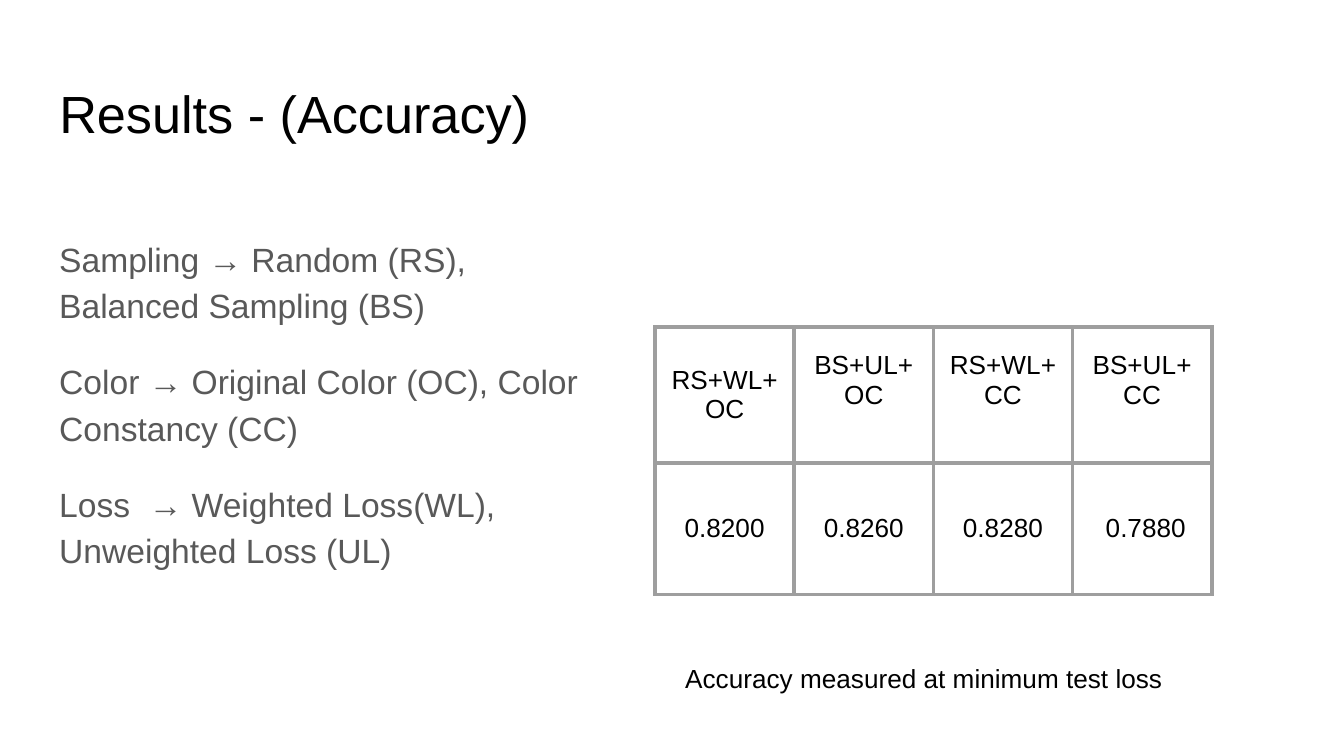
from lxml import etree
from pptx import Presentation
from pptx.dml.color import RGBColor
from pptx.enum import text
from pptx.oxml import ns
from pptx.util import Cm, Pt

# Content
TITLE = "Results - (Accuracy)"
FACTORS = [
    "Sampling → Random (RS), Balanced Sampling (BS)",
    "Color → Original Color (OC), Color Constancy (CC)",
    "Loss  → Weighted Loss(WL), Unweighted Loss (UL)",
]
RESULTS = [
    ["RS+WL+OC", "BS+UL+OC", "RS+WL+CC", "BS+UL+CC"],
    ["0.8200", "0.8260", "0.8280", " 0.7880"],
]
CAPTION = "Accuracy measured at minimum test loss"

# Format
BLACK, GREY, BORDER = "000000", "595959", "9E9E9E"
INSET = Cm(0.25)
COLUMN_WIDTH = Cm(2.63)
ROW_HEIGHTS = [Cm(2.57), Cm(2.49)]
RAISED_BOTTOM = Cm(0.8)  # lifts the headers after the first


def color(value):
    return RGBColor.from_string(value)


def write(frame, lines, size, fill=BLACK, align=text.PP_ALIGN.LEFT,
          spacing=1.0, gap=0):
    for index, line in enumerate(lines):
        para = frame.paragraphs[0] if index == 0 else frame.add_paragraph()
        para.alignment = align
        para.line_spacing = spacing
        para.space_before = Pt(gap if index else 0)
        span = para.add_run()
        span.text = line
        span.font.size = Pt(size)
        span.font.name = "Arial"
        span.font.color.rgb = color(fill)


def set_insets(target):
    target.margin_left = target.margin_right = INSET
    target.margin_top = target.margin_bottom = INSET


def prepare(box):
    frame = box.text_frame
    frame.word_wrap = True
    frame.auto_size = text.MSO_AUTO_SIZE.NONE
    frame.vertical_anchor = text.MSO_ANCHOR.TOP
    set_insets(frame)
    return frame


def add_text(page, place, lines, size, **style):
    box = page.shapes.add_textbox(*map(Cm, place))
    write(prepare(box), lines, size, **style)


def add_borders(cell, value, width):
    properties = cell._tc.get_or_add_tcPr()
    for index, side in enumerate(("a:lnL", "a:lnR", "a:lnT", "a:lnB")):
        line = etree.Element(ns.qn(side), w=str(Pt(width)))
        fill = etree.SubElement(line, ns.qn("a:solidFill"))
        etree.SubElement(fill, ns.qn("a:srgbClr"), val=value)
        properties.insert(index, line)


deck = Presentation()
deck.slide_width, deck.slide_height = Cm(25.4), Cm(14.29)
page = deck.slides.add_slide(deck.slide_layouts[5])

# Title
title = page.shapes.title
title.left, title.top, title.width, title.height = map(
    Cm, (0.87, 1.28, 23.67, 1.6))
write(prepare(title), [TITLE], 28)

# Factors compared
add_text(page, (0.87, 4.15, 10.52, 9.55), FACTORS, 18,
         fill=GREY, spacing=1.15, gap=16)

# Accuracy table
table = page.shapes.add_table(
    len(RESULTS), len(RESULTS[0]), Cm(12.38), Cm(6.18),
    COLUMN_WIDTH * len(RESULTS[0]), sum(ROW_HEIGHTS)).table
for column in table.columns:
    column.width = COLUMN_WIDTH
for row, height in zip(table.rows, ROW_HEIGHTS):
    row.height = height
for r, values in enumerate(RESULTS):
    for c, value in enumerate(values):
        cell = table.cell(r, c)
        cell.fill.background()
        cell.vertical_anchor = text.MSO_ANCHOR.MIDDLE
        set_insets(cell)
        if r == 0 and c > 0:
            cell.margin_bottom = RAISED_BOTTOM
        write(cell.text_frame, [value], 14, align=text.PP_ALIGN.CENTER)
        add_borders(cell, BORDER, 2.25)

# Caption
add_text(page, (12.7, 12.27, 9.68, 1.19), [CAPTION], 14)

deck.save("out.pptx")
